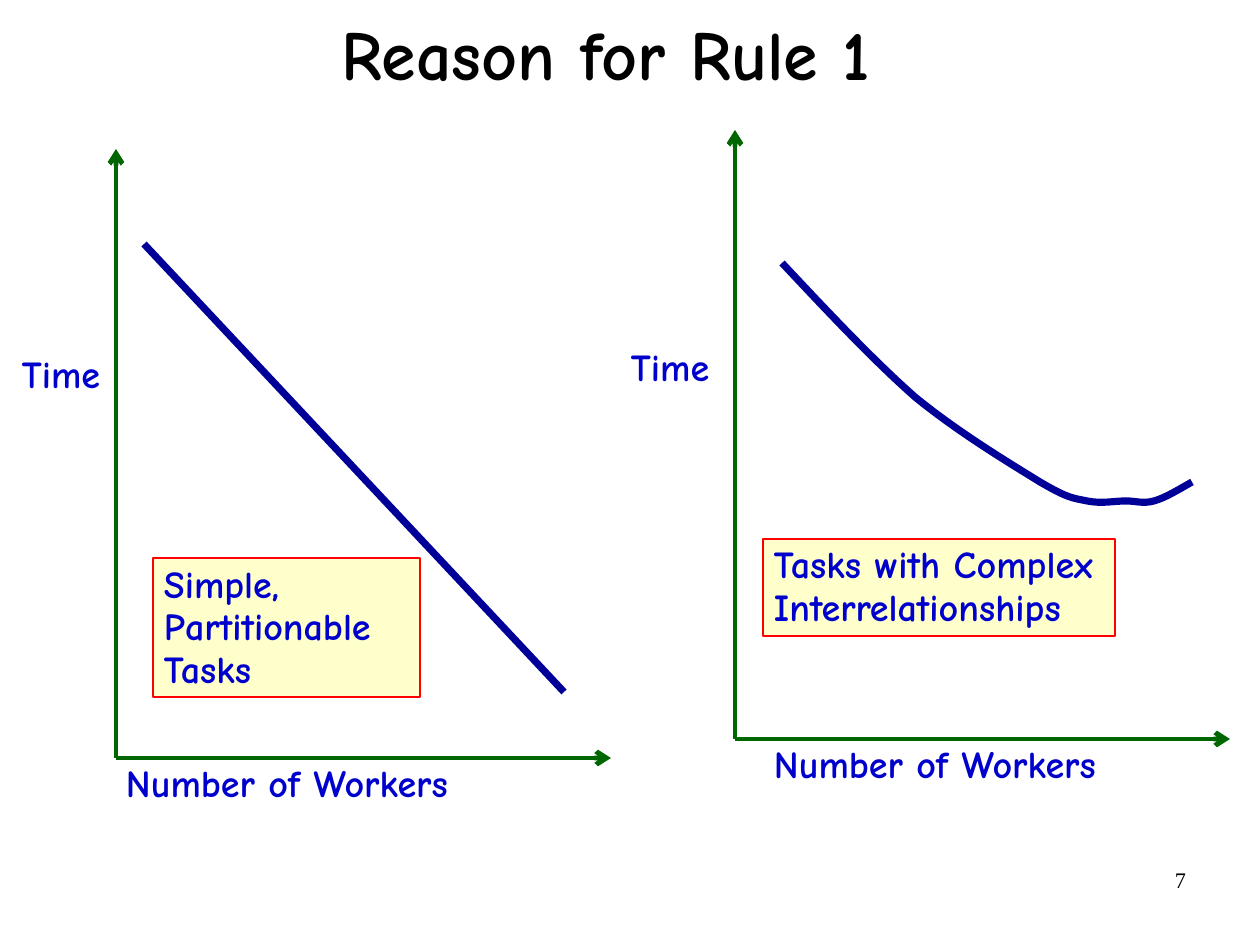
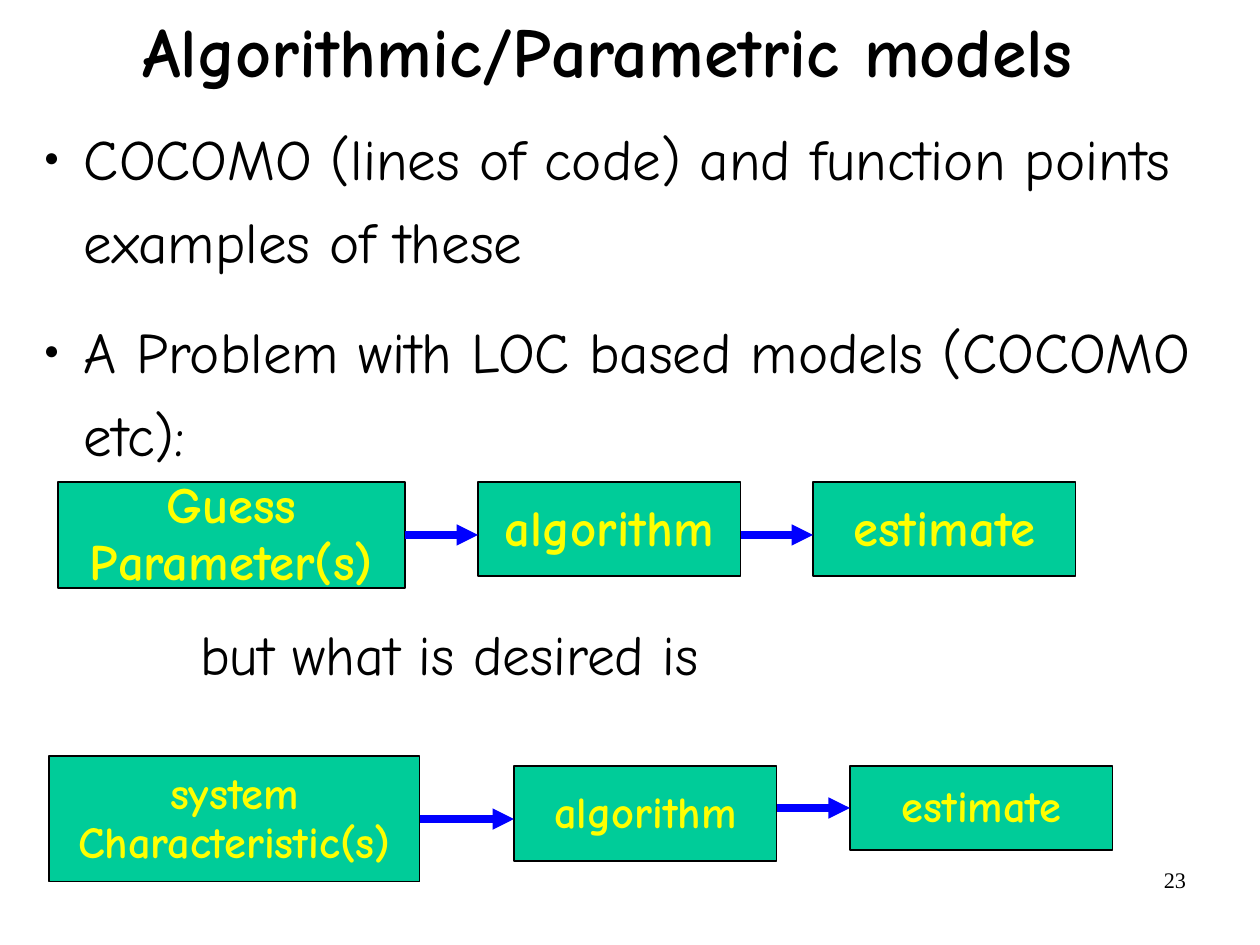
import pptx
import pptx.util
import pptx.dml.color
import pptx.enum.shapes
import pptx.enum.text
import pptx.oxml.ns
from lxml import etree

RGB = pptx.dml.color.RGBColor
BLACK = RGB(0x00, 0x00, 0x00)
WHITE = RGB(0xFF, 0xFF, 0xFF)
AXIS_GREEN = RGB(0x00, 0x66, 0x00)
CURVE_NAVY = RGB(0x00, 0x00, 0x99)
LABEL_BLUE = RGB(0x00, 0x00, 0xCC)
ARROW_BLUE = RGB(0x00, 0x00, 0xFF)
NOTE_YELLOW = RGB(0xFF, 0xFF, 0xCC)
NOTE_RED = RGB(0xFF, 0x00, 0x00)
STEP_GREEN = RGB(0x00, 0xCC, 0x99)
STEP_YELLOW = RGB(0xFF, 0xFF, 0x00)

EMU_PER_PX = 8000
HAND_FONT = "Comic Neue"
NUMBER_FONT = "Times New Roman"
ALIGN = pptx.enum.text.PP_ALIGN
ANCHOR = pptx.enum.text.MSO_ANCHOR
FIT = pptx.enum.text.MSO_AUTO_SIZE.SHAPE_TO_FIT_TEXT
RECTANGLE = pptx.enum.shapes.MSO_SHAPE.RECTANGLE
STRAIGHT = pptx.enum.shapes.MSO_CONNECTOR.STRAIGHT
TOP_SIDE, LEFT_SIDE, BOTTOM_SIDE, RIGHT_SIDE = range(4)


def px(count):
    return pptx.util.Emu(count * EMU_PER_PX)


def add_xml(parent, tag, **attributes):
    return etree.SubElement(parent, pptx.oxml.ns.qn(tag), **attributes)


def add_bullet(para):
    properties = para._p.get_or_add_pPr()
    properties.set("marL", str(px(54)))
    properties.set("indent", str(px(-40)))
    add_xml(add_xml(properties, "a:buClr"), "a:srgbClr", val=str(BLACK))
    add_xml(properties, "a:buSzPct", val="45000")
    add_xml(properties, "a:buFont", typeface=NUMBER_FONT)
    add_xml(properties, "a:buChar", char="●")


def write_text(frame, text, *, size, color=BLACK, font=HAND_FONT, bold=False,
               align=ALIGN.LEFT, anchor=ANCHOR.TOP, inset=(11, 6), wrap=True,
               grow=False, spacing=0.93, before=0, after=0, bullet=False):
    frame.word_wrap = wrap
    frame.vertical_anchor = anchor
    frame.margin_left = frame.margin_right = px(inset[0])
    frame.margin_top = frame.margin_bottom = px(inset[1])
    if grow:
        frame.auto_size = FIT
    for index, line in enumerate(text.split("\n")):
        para = frame.add_paragraph() if index else frame.paragraphs[0]
        if bullet:
            add_bullet(para)
        para.alignment = align
        para.line_spacing = spacing
        para.space_before = pptx.util.Pt(before if index else 0)
        para.space_after = pptx.util.Pt(after)
        span = para.add_run()
        span.text = line
        span.font.name = font
        span.font.size = pptx.util.Pt(size)
        span.font.bold = bold
        span.font.color.rgb = color


class Lecture:
    def __init__(self):
        self.deck = pptx.Presentation()
        self.deck.slide_width = px(1260)
        self.deck.slide_height = px(945)
        self.page = None

    def add_page(self, title, number, title_box):
        self.page = self.deck.slides.add_slide(self.deck.slide_layouts[6])
        self.page.background.fill.solid()
        self.page.background.fill.fore_color.rgb = WHITE
        self.text(number, 903, 860, 294, 65, size=14, font=NUMBER_FONT,
                  align=ALIGN.RIGHT, spacing=1.0)
        self.text(title, *title_box, size=44, bold=True, align=ALIGN.CENTER,
                  anchor=ANCHOR.MIDDLE, inset=(0, 0), spacing=0.92)

    def text(self, text, left, top, width, height, **style):
        box = self.page.shapes.add_textbox(px(left), px(top), px(width), px(height))
        write_text(box.text_frame, text, **style)

    def label(self, text, left, top, width):
        self.text(text, left, top, width, 54, size=24, color=LABEL_BLUE,
                  bold=True, grow=True)

    def rectangle(self, text, left, top, width, height, fill, outline, **style):
        box = self.page.shapes.add_shape(RECTANGLE, px(left), px(top), px(width), px(height))
        box.shadow.inherit = False
        box.fill.solid()
        box.fill.fore_color.rgb = fill
        box.line.color.rgb = outline
        box.line.width = pptx.util.Pt(0.75)
        write_text(box.text_frame, text, bold=True, **style)
        return box

    def note(self, text, left, top, width, height):
        self.rectangle(text, left, top, width, height, NOTE_YELLOW, NOTE_RED,
                       size=24, color=LABEL_BLUE, grow=True)

    def step(self, text, left, top, width, height, size):
        return self.rectangle(text, left, top, width, height, STEP_GREEN, BLACK,
                              size=size, color=STEP_YELLOW, align=ALIGN.CENTER,
                              anchor=ANCHOR.MIDDLE, inset=(13, 6), wrap=False)

    def line(self, start, end, color, weight, arrowhead=None):
        connector = self.page.shapes.add_connector(
            STRAIGHT, *(px(value) for value in (*start, *end)))
        connector.line.color.rgb = color
        connector.line.width = pptx.util.Pt(weight)
        if arrowhead:
            add_xml(connector.line._get_or_add_ln(), "a:tailEnd", type=arrowhead)
        add_xml(connector._element.spPr, "a:effectLst")
        return connector

    def curve(self, start, controls):
        builder = self.page.shapes.build_freeform(*start, scale=EMU_PER_PX)
        builder.add_line_segments(controls, close=False)
        shape = builder.convert_to_shape()
        shape.shadow.inherit = False
        shape.fill.background()
        shape.line.color.rgb = CURVE_NAVY
        shape.line.width = pptx.util.Pt(4.5)
        outline = shape._element.find(".//" + pptx.oxml.ns.qn("a:path"))
        segments = outline.findall(pptx.oxml.ns.qn("a:lnTo"))
        for index in range(0, len(segments), 3):
            bezier = add_xml(outline, "a:cubicBezTo")
            for segment in segments[index:index + 3]:
                bezier.append(segment[0])
                outline.remove(segment)

    def axes(self, left, bottom, time_left, time_top, workers_left):
        origin = (left, bottom)
        for end in ((left, bottom - 609), (left + 495, bottom)):
            self.line(origin, end, AXIS_GREEN, 3, "arrow")
        self.label("Number of Workers", workers_left, bottom, 457)
        self.label("Time", time_left, time_top, 114)

    def arrow(self, source, target, level):
        start = (source.left + source.width) // EMU_PER_PX
        end = target.left // EMU_PER_PX
        connector = self.line((start, level), (end, level), ARROW_BLUE, 4.5, "triangle")
        if source.top + source.height // 2 == px(level):
            connector.begin_connect(source, RIGHT_SIDE)
        if target.top + target.height // 2 == px(level):
            connector.end_connect(target, LEFT_SIDE)

    def flow(self, steps, levels, size):
        boxes = [self.step(*step, size) for step in steps]
        for source, target, level in zip(boxes, boxes[1:], levels):
            self.arrow(source, target, level)


def add_rule_page(lecture):
    lecture.add_page("Reason for Rule 1", "7", (69, 0, 1074, 114))
    lecture.axes(116, 758, 11, 349, 115)
    lecture.line((144, 244), (564, 692), CURVE_NAVY, 4.5)
    lecture.axes(735, 739, 620, 342, 763)
    lecture.curve((782, 263), [
        (827, 311), (873, 360), (915, 397),
        (959, 433), (1011, 464), (1040, 482),
        (1069, 499), (1073, 498), (1087, 501),
        (1102, 504), (1114, 501), (1126, 501),
        (1136, 501), (1143, 504), (1154, 501),
        (1165, 498), (1178, 490), (1192, 482)])
    lecture.note("Simple, Partitionable Tasks", 153, 558, 267, 139)
    lecture.note("Tasks with Complex Interrelationships", 763, 539, 352, 97)


def add_models_page(lecture):
    lecture.add_page("Algorithmic/Parametric models", "23", (49, 0, 1118, 108))
    lecture.text("COCOMO (lines of code) and function points examples of these\n"
                 "A Problem with LOC based models (COCOMO etc):",
                 30, 110, 1181, 374, size=36, inset=(0, 0), spacing=1.2,
                 before=12, after=6, bullet=True)
    lecture.flow([("Guess\nParameter(s)", 58, 482, 347, 106),
                  ("algorithm", 478, 482, 263, 94),
                  ("estimate", 813, 482, 263, 94)], (535, 535), 32)
    lecture.text("but what is desired is", 187, 620, 615, 74, size=35,
                 inset=(13, 6), grow=True)
    lecture.flow([("system\nCharacteristic(s)", 49, 756, 371, 126),
                  ("algorithm", 514, 766, 263, 95),
                  ("estimate", 850, 766, 263, 84)], (819, 808), 28)


def main():
    lecture = Lecture()
    add_rule_page(lecture)
    add_models_page(lecture)
    lecture.deck.save("out.pptx")


if __name__ == "__main__":
    main()
